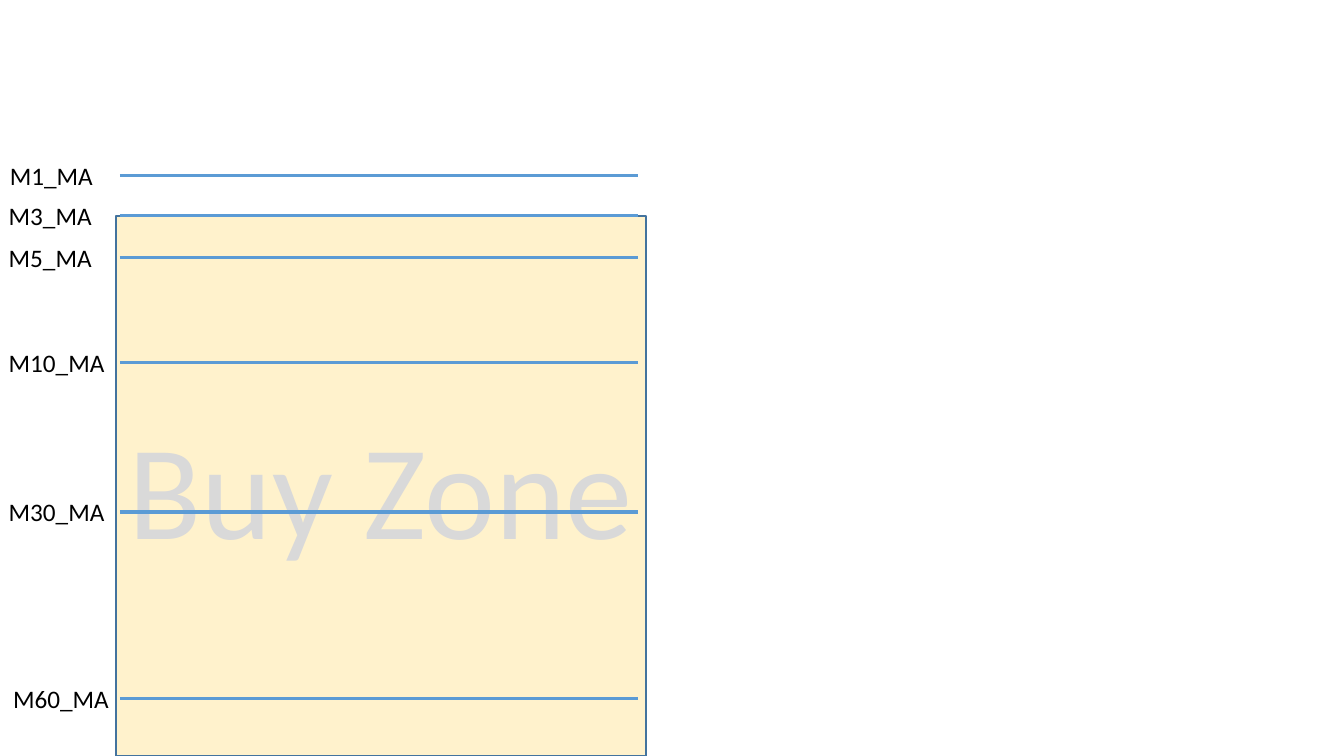
from lxml import etree
from pptx import Presentation
from pptx import util as u
from pptx.dml.color import RGBColor
from pptx.enum import shapes, text
from pptx.oxml.ns import qn

COLORS = {
    "zone_fill": "FFF2CC",
    "zone_border": "43739E",
    "zone_text": "D9D9D9",
    "average": "5B9BD5",
    "label": "000000",
}

# Lengths in cm
ZONE = (2.92, 5.44, 13.36, 13.61)
LINE_LEFT, LINE_RIGHT = 3.02, 16.08
LABEL_HEIGHT = 1.02

# Name, line height on the slide, label left, label width
AVERAGES = [
    ("M1_MA", 4.42, 0, 2.62),
    ("M3_MA", 5.44, -0.03, 2.62),
    ("M5_MA", 6.48, -0.03, 2.62),
    ("M10_MA", 9.14, -0.03, 2.95),
    ("M30_MA", 12.9, -0.03, 2.95),
    ("M60_MA", 17.6, 0.08, 2.95),
]


class SlideBuilder:
    def __init__(self, prs, font, colors):
        self.s = prs.slides.add_slide(prs.slide_layouts[6])
        self.font = font
        self.colors = colors

    def color(self, name):
        return RGBColor.from_string(self.colors[name])

    def set_text(self, sp, words, size, color, align):
        tf = sp.text_frame
        tf.text = words
        p = tf.paragraphs[0]
        p.alignment = align
        r = p.runs[0]
        r.font.name = self.font
        r.font.size = u.Pt(size)
        r.font.color.rgb = self.color(color)
        return tf

    def zone(self, box, words):
        sp = self.s.shapes.add_shape(
            shapes.MSO_SHAPE.RECTANGLE, *(u.Cm(v) for v in box))
        sp.shadow.inherit = False
        sp.fill.solid()
        sp.fill.fore_color.rgb = self.color("zone_fill")
        sp.line.color.rgb = self.color("zone_border")
        sp.line.width = u.Pt(1)
        tf = self.set_text(sp, words, 96, "zone_text", text.PP_ALIGN.CENTER)
        tf.vertical_anchor = text.MSO_ANCHOR.MIDDLE

    def level_line(self, y):
        line = self.s.shapes.add_connector(
            shapes.MSO_CONNECTOR.STRAIGHT,
            u.Cm(LINE_LEFT), u.Cm(y), u.Cm(LINE_RIGHT), u.Cm(y))
        line.line.color.rgb = self.color("average")
        line.line.width = u.Pt(2.25)
        etree.SubElement(line._element.spPr, qn("a:effectLst"))

    def label(self, words, left, middle, width):
        sp = self.s.shapes.add_textbox(
            u.Cm(left), u.Cm(middle - LABEL_HEIGHT / 2),
            u.Cm(width), u.Cm(LABEL_HEIGHT))
        tf = self.set_text(sp, words, 18, "label", text.PP_ALIGN.LEFT)
        tf.word_wrap = False
        tf.auto_size = text.MSO_AUTO_SIZE.SHAPE_TO_FIT_TEXT


def main():
    prs = Presentation()
    prs.slide_width, prs.slide_height = u.Cm(33.87), u.Cm(19.05)
    slide = SlideBuilder(prs, "Calibri", COLORS)
    slide.zone(ZONE, "Buy Zone")
    for name, y, left, width in AVERAGES:
        slide.level_line(y)
        slide.label(name, left, y, width)
    prs.save("out.pptx")


if __name__ == "__main__":
    main()
